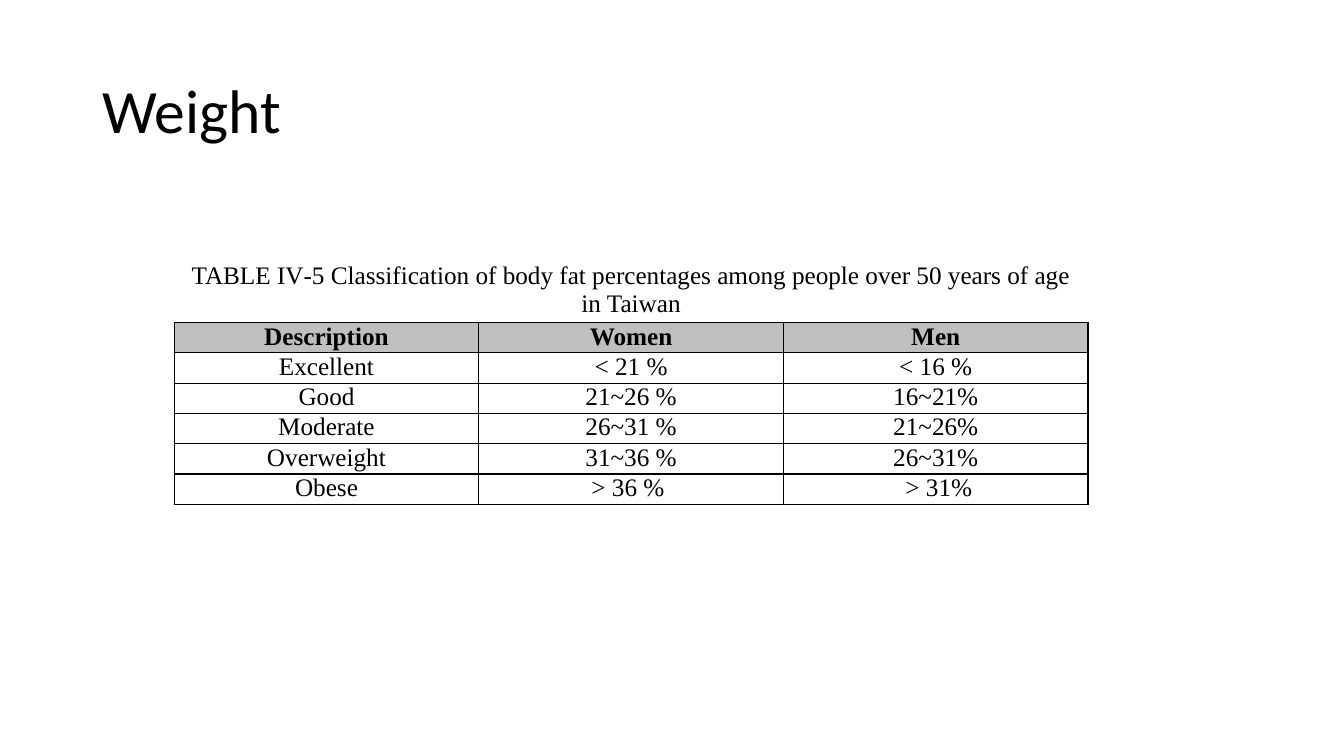
from lxml import etree
from pptx import Presentation
from pptx.dml.color import RGBColor
from pptx.enum.text import MSO_ANCHOR, PP_ALIGN
from pptx.oxml.ns import qn
from pptx.util import Pt

CENTER = PP_ALIGN.CENTER
LEFT = PP_ALIGN.LEFT
MIDDLE = MSO_ANCHOR.MIDDLE
TOP = MSO_ANCHOR.TOP

BLACK = "000000"
HEADER_GRAY = "BFBFBF"
CAPTION = "TABLE IV‑5 Classification of body fat percentages among people over 50 years of age in Taiwan"
BODY_FAT = [
    ("Description", "Women", "Men"),
    ("Excellent", "< 21 %", "< 16 %"),
    ("Good", "21~26 %", "16~21%"),
    ("Moderate", "26~31 %", "21~26%"),
    ("Overweight", "31~36 %", "26~31%"),
    ("Obese", "> 36 % ", " > 31%"),
]
ROW_HEIGHT = 19.8
COLUMN_WIDTH = 217.6


def color(value):
    return RGBColor.from_string(value)


def write(frame, text, font, size, align, bold=False):
    frame.text = text
    paragraph = frame.paragraphs[0]
    paragraph.alignment = align
    for run in paragraph.runs:
        run.font.name = font
        run.font.size = Pt(size)
        run.font.bold = bold
        run.font.color.rgb = color(BLACK)
    return paragraph


def add_title(slide, text):
    title = slide.shapes.add_textbox(Pt(66), Pt(28.75), Pt(828), Pt(104.4))
    frame = title.text_frame
    frame.word_wrap = True
    frame.vertical_anchor = MIDDLE
    write(frame, text, "Calibri", 44, LEFT).line_spacing = 0.9


def set_borders(cell, visible):
    properties = cell._tc.get_or_add_tcPr()
    for side in ("lnL", "lnR", "lnT", "lnB"):
        border = etree.SubElement(properties, qn(f"a:{side}"), w=str(Pt(1)))
        if side in visible:
            fill = etree.SubElement(border, qn("a:solidFill"))
            etree.SubElement(fill, qn("a:srgbClr"), val=BLACK)
        else:
            etree.SubElement(border, qn("a:noFill"))


def style_cell(cell, visible_borders, fill=None):
    cell.margin_left = cell.margin_right = Pt(5.4)
    cell.margin_top = cell.margin_bottom = Pt(0)
    cell.vertical_anchor = TOP
    set_borders(cell, visible_borders)
    if fill:
        cell.fill.solid()
        cell.fill.fore_color.rgb = color(fill)
    else:
        cell.fill.background()


def add_body_fat_table(slide, caption, rows):
    row_count, column_count = len(rows) + 1, len(rows[0])
    table = slide.shapes.add_table(
        row_count, column_count, Pt(124.4), Pt(187.2),
        Pt(COLUMN_WIDTH * column_count), Pt(ROW_HEIGHT * (row_count + 1)),
    ).table
    table.first_row = False
    table.horz_banding = False
    for column in table.columns:
        column.width = Pt(COLUMN_WIDTH)
    for row in table.rows:
        row.height = Pt(ROW_HEIGHT)
    table.rows[0].height = Pt(2 * ROW_HEIGHT)

    for column in range(column_count):
        style_cell(table.cell(0, column), ("lnB",))
    caption_cell = table.cell(0, 0)
    caption_cell.merge(table.cell(0, column_count - 1))
    write(caption_cell.text_frame, caption, "Times New Roman", 18, CENTER)

    for r, values in enumerate(rows, start=1):
        is_header = r == 1
        for c, value in enumerate(values):
            cell = table.cell(r, c)
            style_cell(cell, ("lnL", "lnR", "lnT", "lnB"), HEADER_GRAY if is_header else None)
            write(cell.text_frame, value, "Times New Roman", 18, CENTER, is_header)


def main():
    presentation = Presentation()
    presentation.slide_width = Pt(960)
    presentation.slide_height = Pt(540)
    slide = presentation.slides.add_slide(presentation.slide_layouts[6])
    add_title(slide, "Weight")
    add_body_fat_table(slide, CAPTION, BODY_FAT)
    presentation.save("out.pptx")


if __name__ == "__main__":
    main()
